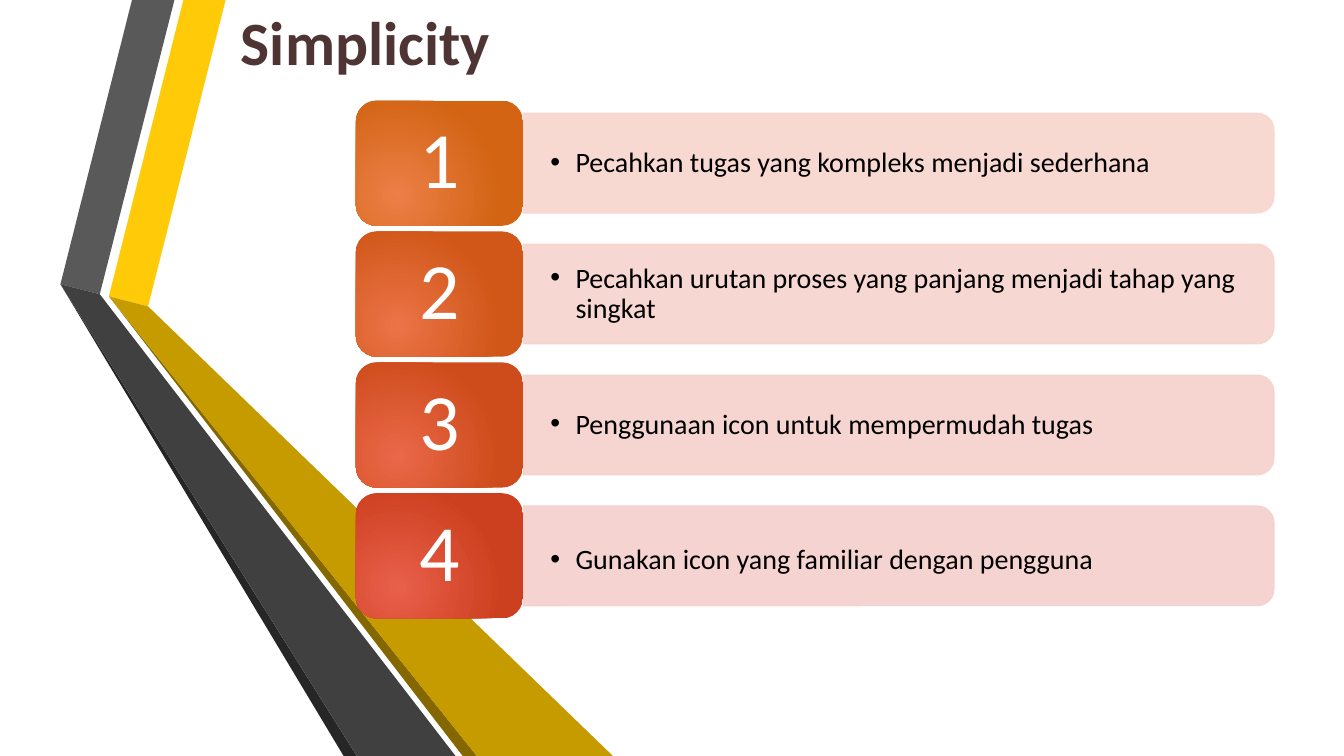
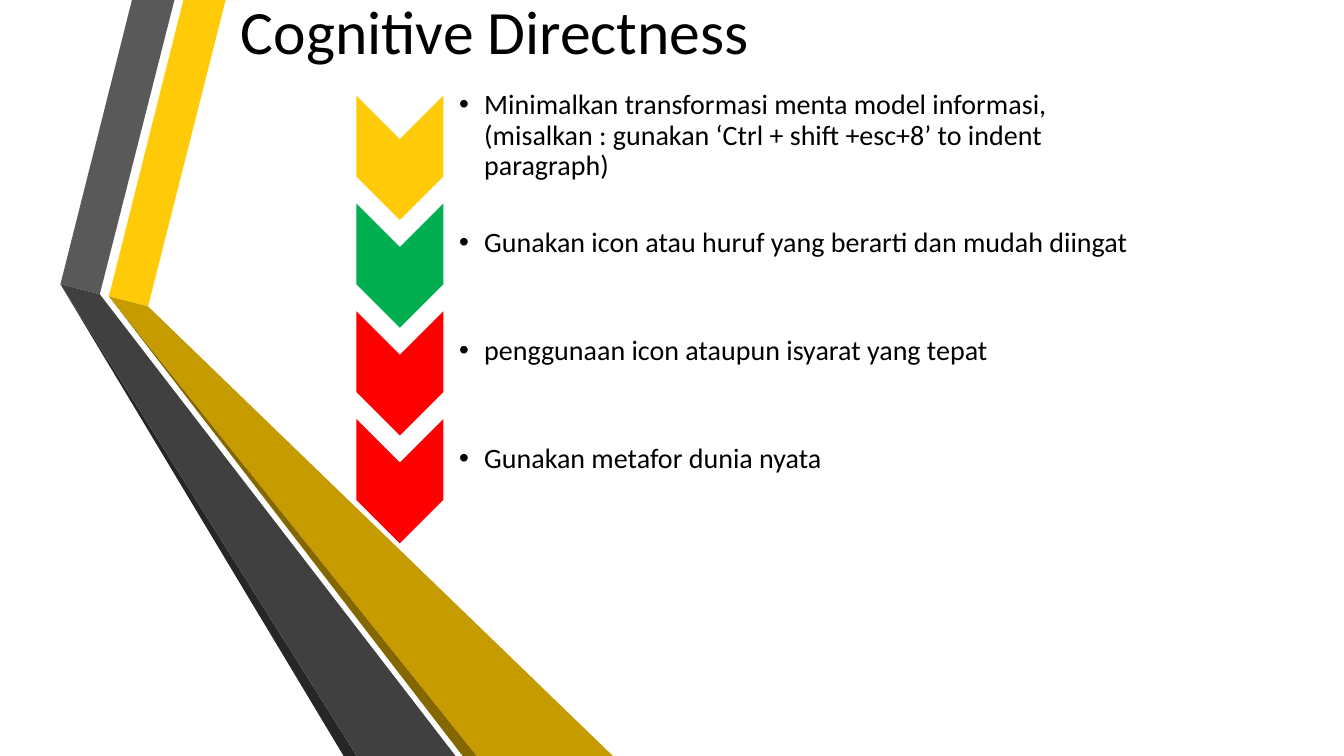
from dataclasses import dataclass

from lxml.etree import SubElement
from pptx import Presentation
from pptx.dml.color import RGBColor
from pptx.enum.shapes import MSO_SHAPE as Shape
from pptx.enum.text import MSO_ANCHOR as Anchor, PP_ALIGN as Align
from pptx.oxml.ns import qn
from pptx.util import Pt


@dataclass(frozen=True)
class Theme:
    font: str = "Calibri"
    title_size: int = 44
    body_size: int = 20
    number_size: int = 57
    black: str = "000000"
    white: str = "FFFFFF"
    brown: str = "4F3434"
    yellow: str = "FFCA08"
    green: str = "00B050"
    red: str = "FF0000"
    gold: str = "C59B00"
    dark_gold: str = "846700"
    grey: str = "595959"
    charcoal: str = "404040"
    near_black: str = "262626"


THEME = Theme()
SLIDE_SIZE = (960, 540)

RIBBONS = [
    (THEME.yellow, [(77.8, 211.7), (105.8, 218.9), (161.2, 0), (131, 0)]),
    (THEME.grey, [(71.3, 210.2), (124.6, 0), (94.3, 0), (43.2, 203)]),
    (THEME.near_black, [(43.2, 203), (245.5, 540), (254.9, 540)]),
    (THEME.dark_gold, [(77.8, 211.7), (330.5, 540), (340.6, 540)]),
    (THEME.gold, [(77.8, 211.7), (340.6, 540), (437.8, 540), (105.8, 218.9)]),
    (THEME.charcoal, [(43.2, 203), (254.9, 540), (325.4, 540), (76.3, 216.7),
                      (71.3, 210.2)]),
]

# text, bar colour, tile gradient, extra drop of the text
SIMPLICITY = [
    ("Pecahkan tugas yang kompleks menjadi sederhana",
     "F8D5CC", ("ED7E47", "D26414"), 0),
    ("Pecahkan urutan proses yang panjang menjadi tahap yang singkat",
     "F7D3CD", ("EB7348", "D05717"), 0),
    ("Penggunaan icon untuk mempermudah tugas",
     "F6D1CD", ("EA6849", "CE4B1B"), 0),
    ("Gunakan icon yang familiar dengan pengguna",
     "F5CFCD", ("E85F4B", "CD401F"), 3),
]

DIRECTNESS = [
    ("Minimalkan transformasi menta model informasi, (misalkan : gunakan "
     "‘Ctrl + shift +esc+8’ to indent paragraph)", THEME.yellow),
    ("Gunakan icon atau huruf yang berarti dan mudah diingat", THEME.green),
    ("penggunaan icon ataupun isyarat yang tepat", THEME.red),
    ("Gunakan metafor dunia nyata", THEME.red),
]


def rgb(color):
    return RGBColor.from_string(color)


def paint(shape, color):
    shape.shadow.inherit = False
    shape.fill.solid()
    shape.fill.fore_color.rgb = rgb(color)
    shape.line.fill.background()


def paint_radial(shape, colors):
    """Fill with a circular gradient that starts at the lower middle."""
    shape.shadow.inherit = False
    shape.line.fill.background()
    shape.fill.gradient()
    for stop, color in zip(shape.fill.gradient_stops, colors):
        stop.color.rgb = rgb(color)
    gradient = shape.element.spPr.find(qn("a:gradFill"))
    gradient.remove(gradient.find(qn("a:lin")))
    circle = SubElement(gradient, qn("a:path"), path="circle")
    SubElement(circle, qn("a:fillToRect"),
               l="50000", t="100000", r="100000", b="50000")


def make_translucent(shape, percent):
    for color in shape.element.spPr.iter(qn("a:srgbClr")):
        SubElement(color, qn("a:alpha"), val=str(percent * 1000))


def add_quarter_turned(page, kind, left, top, width, height):
    """Add a shape turned by 90 degrees that covers the given area."""
    shift = (width - height) / 2
    shape = page.shapes.add_shape(kind, Pt(left + shift), Pt(top - shift),
                                  Pt(height), Pt(width))
    shape.rotation = 90
    return shape


def write(shape, text, size, color, bold=False, anchor=Anchor.MIDDLE,
          align=Align.LEFT, insets=(0, 0, 0, 0)):
    frame = shape.text_frame
    frame.word_wrap = True
    frame.vertical_anchor = anchor
    (frame.margin_left, frame.margin_top,
     frame.margin_right, frame.margin_bottom) = map(Pt, insets)
    frame.text = text
    para = frame.paragraphs[0]
    para.alignment = align
    para.line_spacing = 0.9
    font = para.runs[0].font
    font.name, font.size, font.bold = THEME.font, Pt(size), bold
    font.color.rgb = rgb(color)
    return para


def add_bullet(page, text, left, top, width, height, insets):
    box = page.shapes.add_textbox(Pt(left), Pt(top), Pt(width), Pt(height))
    para = write(box, text, THEME.body_size, THEME.black, insets=insets)
    properties = para._p.get_or_add_pPr()
    properties.set("marL", str(Pt(18)))
    properties.set("indent", str(Pt(-18)))
    SubElement(properties, qn("a:buFont"), typeface="Arial")
    SubElement(properties, qn("a:buChar"), char="•")


def add_title(page, text, top, color, bold=False):
    box = page.shapes.add_textbox(Pt(165), Pt(top), Pt(565), Pt(52))
    write(box, text, THEME.title_size, color, bold, Anchor.TOP,
          insets=(7.2, 0, 7.2, 0))


def move_ribbons_to_layout(page, layout):
    """Draw the ribbons on a page, then hand them to its layout."""
    for holder in list(layout.placeholders):
        holder.element.getparent().remove(holder.element)
    for color, points in RIBBONS:
        corners = [(Pt(x), Pt(y)) for x, y in points]
        builder = page.shapes.build_freeform(*corners[0])
        builder.add_line_segments(corners[1:], close=True)
        ribbon = builder.convert_to_shape()
        paint(ribbon, color)
        layout.shapes.element.append(ribbon.element)


def fill_simplicity(page):
    add_title(page, "Simplicity", 9, THEME.brown, bold=True)
    tile_left, first_top, tile_width, tile_height = 254.2, 71.8, 119.4, 89.5
    bar_left, bar_width, bar_height = tile_left + tile_width, 536.4, 71.3
    pitch = 93.5
    for index, (text, color, gradient, drop) in enumerate(SIMPLICITY):
        top = first_top + index * pitch
        bar_top = top + (tile_height - bar_height) / 2
        bar = add_quarter_turned(page, Shape.ROUND_2_SAME_RECTANGLE,
                                 bar_left, bar_top, bar_width, bar_height)
        paint(bar, color)
        bar.line.color.rgb = rgb(color)
        bar.line.width = Pt(0.75)
        make_translucent(bar, 90)
        add_bullet(page, text, bar_left, bar_top + drop, bar_width - 3.5,
                   bar_height, (19.5, 9.75, 19.5, 9.75))
        tile = page.shapes.add_shape(Shape.ROUNDED_RECTANGLE, Pt(tile_left),
                                     Pt(top), Pt(tile_width), Pt(tile_height))
        paint_radial(tile, gradient)
        write(tile, str(index + 1), THEME.number_size, THEME.white,
              align=Align.CENTER)


def fill_directness(page):
    add_title(page, "Cognitive Directness", 0.7, THEME.black)
    left, first_top, width, height, pitch = 254.5, 68.3, 62.2, 88.8, 77
    for index, (text, color) in enumerate(DIRECTNESS):
        top = first_top + index * pitch
        chevron = add_quarter_turned(page, Shape.CHEVRON,
                                     left, top, width, height)
        paint(chevron, color)
        add_bullet(page, text, left + width, top + 2.9, 505.4, 51.8,
                   (11.2, 0.9, 0.9, 0.9))


def main():
    deck = Presentation()
    deck.slide_width, deck.slide_height = map(Pt, SLIDE_SIZE)
    blank = deck.slide_layouts[6]
    pages = [deck.slides.add_slide(blank) for _ in range(2)]
    move_ribbons_to_layout(pages[0], blank)
    fill_simplicity(pages[0])
    fill_directness(pages[1])
    deck.save("out.pptx")


if __name__ == "__main__":
    main()
